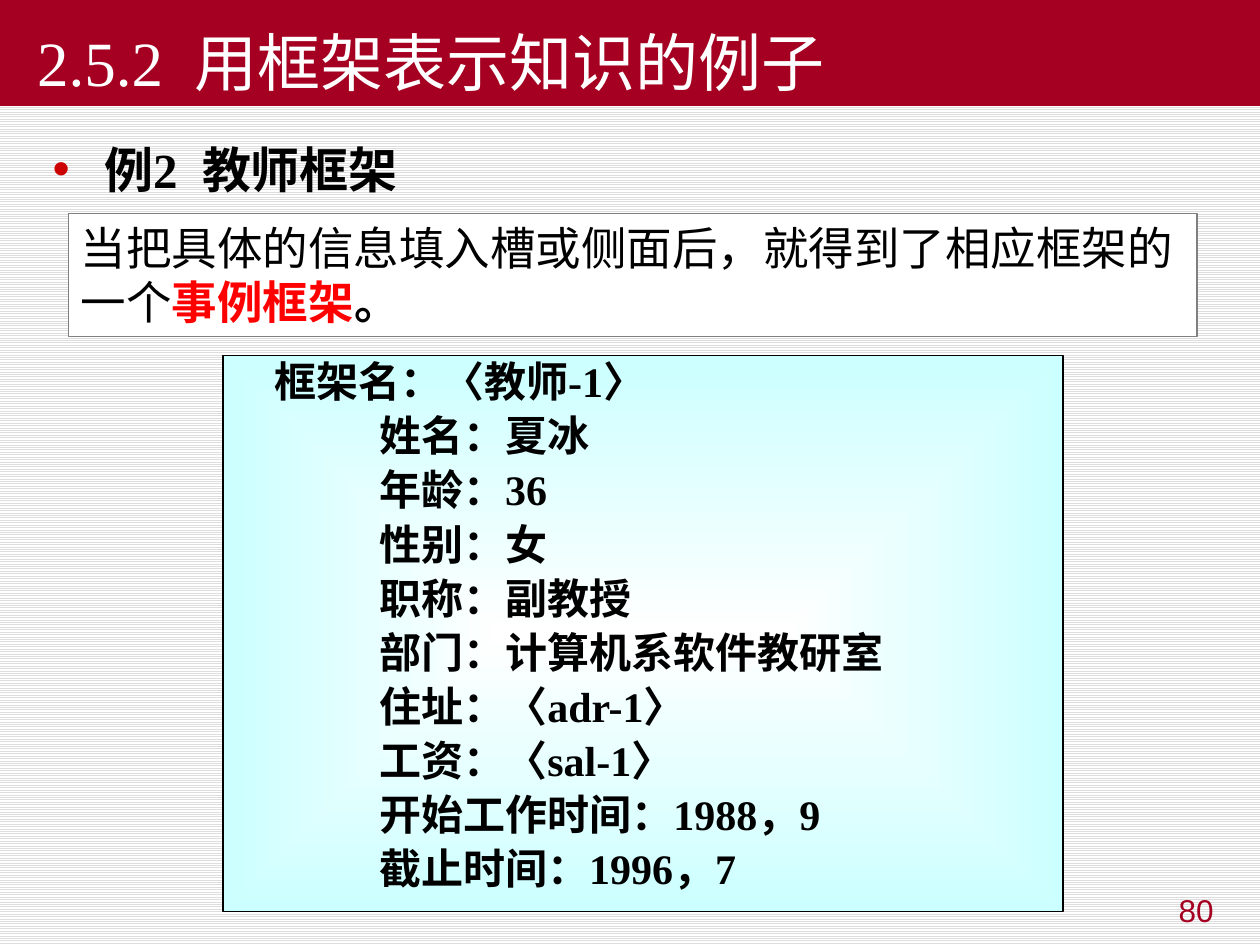
from lxml.etree import SubElement
from pptx import Presentation
from pptx.dml.color import RGBColor
from pptx.enum.dml import MSO_PATTERN
from pptx.enum.shapes import MSO_SHAPE
from pptx.enum.text import MSO_ANCHOR, MSO_AUTO_SIZE, PP_ALIGN
from pptx.oxml.ns import qn
from pptx.util import Pt

COLORS = {
    "crimson": "A50021", "bullet": "CC0000", "red": "FF0000", "black": "000000",
    "white": "FFFFFF", "aqua": "CCFFFF", "gray": "808080", "stripe": "DDDDDD",
}
SERIF, SANS = "Times New Roman", "Arial"

TITLE = "2.5.2  用框架表示知识的例子"
EXAMPLE = [("例2  ", SERIF), ("教师框架", SANS)]
NOTE = [
    ("当把具体的信息填入槽或侧面后，就得到了相应框架的一个", "black", False),
    ("事例框架", "red", True),
    ("。", "black", True),
]
FRAME_NAME = "框架名：〈教师-1〉"
SLOTS = [
    "姓名：夏冰",
    "年龄：36",
    "性别：女",
    "职称：副教授",
    "部门：计算机系软件教研室",
    "住址：〈adr-1〉",
    "工资：〈sal-1〉",
    "开始工作时间：1988，9",
    "截止时间：1996，7",
]
PAGE = "80"

BOXES = {
    "title": (0, 0, 720, 60.5),
    "frame": (127.5, 203, 480, 318),
    "example": (23, 72.7, 261.4, 44),
    "note": (39, 122, 645, 70.5),
    "page": (532.8, 505.4, 167.8, 37.4),
}


def rgb(name):
    return RGBColor.from_string(COLORS[name])


def place(sp, name):
    sp.left, sp.top, sp.width, sp.height = map(Pt, BOXES[name])


def style(r, size, font, color, bold=False):
    r.font.size, r.font.name, r.font.bold = Pt(size), font, bold
    r.font.color.rgb = rgb(color)


def add_run(p, text, *look):
    r = p.add_run()
    r.text = text
    style(r, *look)


def set_indent(p, left, first=0, bullet=None):
    pPr = p._p.get_or_add_pPr()
    pPr.set("marL", str(Pt(left)))
    pPr.set("indent", str(Pt(first)))
    if bullet:
        clr = SubElement(pPr, qn("a:buClr"))
        SubElement(clr, qn("a:srgbClr"), val=COLORS["bullet"])
        SubElement(pPr, qn("a:buFont"), typeface=SANS)
        SubElement(pPr, qn("a:buChar"), char=bullet)
    else:
        SubElement(pPr, qn("a:buNone"))


def outline(sp, color):
    sp.line.color.rgb = rgb(color)
    sp.line.width = Pt(0.75)


def fill_from_center(sp, inner, outer):
    sp.fill.gradient()
    for stop, color, pos in zip(sp.fill.gradient_stops, (inner, outer), (0, 1)):
        stop.color.rgb = rgb(color)
        stop.position = pos
    grad = sp._element.spPr.find(qn("a:gradFill"))
    grad.remove(grad.find(qn("a:lin")))
    center = SubElement(grad, qn("a:path"), path="shape")
    SubElement(center, qn("a:fillToRect"), l="50000", t="50000", r="50000", b="50000")


def add_title(s):
    sp = s.shapes.title
    place(sp, "title")
    sp.fill.solid()
    sp.fill.fore_color.rgb = rgb("crimson")
    tf = sp.text_frame
    tf.text = TITLE
    tf.auto_size, tf.vertical_anchor = MSO_AUTO_SIZE.NONE, MSO_ANCHOR.BOTTOM
    p = tf.paragraphs[0]
    set_indent(p, 0, 14)
    p.alignment = PP_ALIGN.LEFT
    style(p.runs[0], 36, SERIF, "white")


def add_frame(s):
    sp = s.placeholders[1]
    place(sp, "frame")
    fill_from_center(sp, "white", "aqua")
    outline(sp, "black")
    tf = sp.text_frame
    tf.text = "\n".join([FRAME_NAME] + SLOTS)
    tf.auto_size = MSO_AUTO_SIZE.NONE
    for i, p in enumerate(tf.paragraphs):
        set_indent(p, 82 if i else 22)
        p.line_spacing = 0.9
        p.space_before = Pt(5 if i else 0)
        style(p.runs[0], 24, SERIF, "black", True)


def add_example(s):
    sp = s.shapes.add_textbox(*map(Pt, BOXES["example"]))
    sp.text_frame.word_wrap = True
    p = sp.text_frame.paragraphs[0]
    set_indent(p, 29.5, -29.5, "•")
    p.line_spacing = 1.1
    for text, font in EXAMPLE:
        add_run(p, text, 28, font, "black", True)


def add_note(s):
    sp = s.shapes.add_shape(MSO_SHAPE.RECTANGLE, *map(Pt, BOXES["note"]))
    sp.shadow.inherit = False
    sp.fill.solid()
    sp.fill.fore_color.rgb = rgb("white")
    outline(sp, "gray")
    tf = sp.text_frame
    tf.word_wrap, tf.vertical_anchor = True, MSO_ANCHOR.TOP
    p = tf.paragraphs[0]
    p.alignment = PP_ALIGN.LEFT
    for text, color, bold in NOTE:
        add_run(p, text, 26, SANS, color, bold)


def add_page_number(s):
    sp = s.shapes.add_textbox(*map(Pt, BOXES["page"]))
    sp.text_frame.word_wrap = True
    p = sp.text_frame.paragraphs[0]
    p.alignment = PP_ALIGN.RIGHT
    add_run(p, PAGE, 18, SANS, "crimson")


def main():
    prs = Presentation()
    prs.slide_width, prs.slide_height = Pt(720), Pt(540)
    s = prs.slides.add_slide(prs.slide_layouts[1])
    bg = s.background.fill
    bg.patterned()
    bg.pattern = MSO_PATTERN.LIGHT_HORIZONTAL
    bg.fore_color.rgb, bg.back_color.rgb = rgb("stripe"), rgb("white")
    for add in (add_title, add_frame, add_example, add_note, add_page_number):
        add(s)
    prs.save("out.pptx")


if __name__ == "__main__":
    main()
